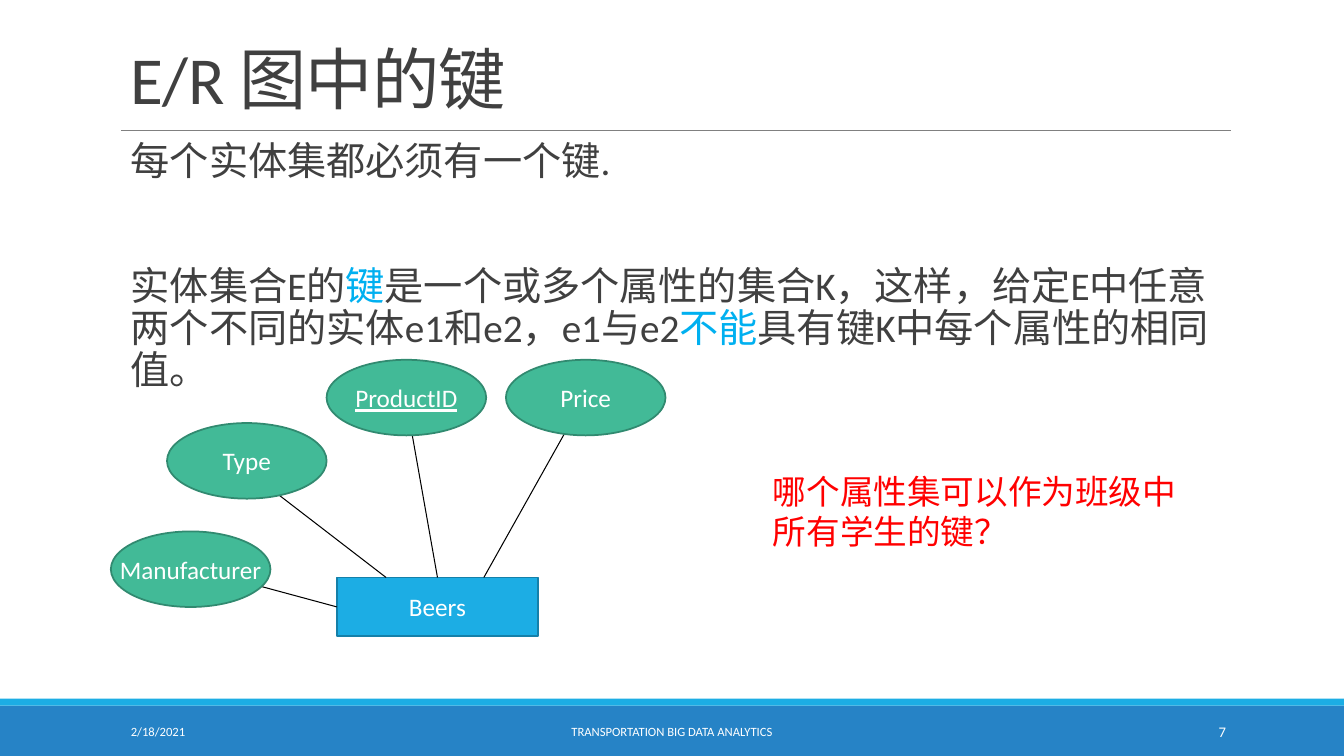
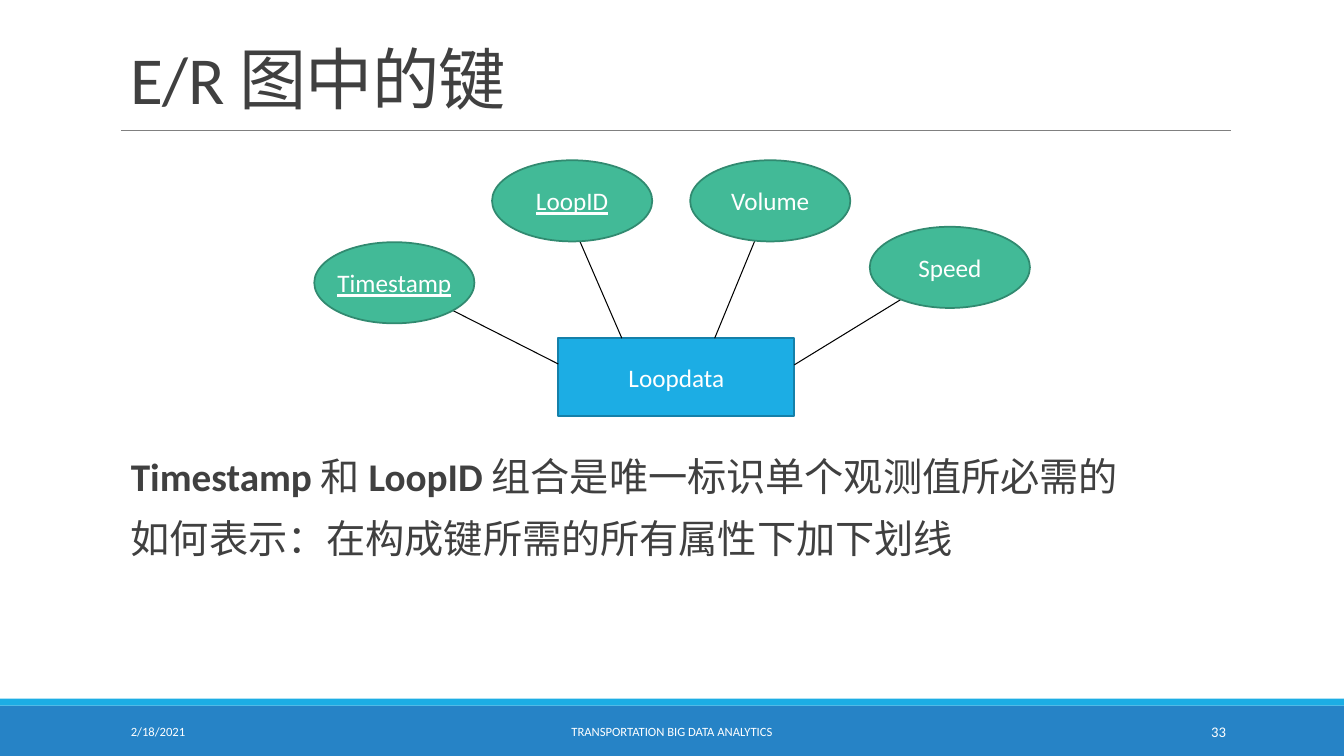
import pptx
import pptx.dml.color
import pptx.enum.shapes
import pptx.enum.text
import pptx.oxml
import pptx.oxml.ns
import pptx.util

Pt = pptx.util.Pt
SHAPE = pptx.enum.shapes.MSO_SHAPE
ANCHOR = pptx.enum.text.MSO_ANCHOR
ALIGN = pptx.enum.text.PP_ALIGN

COLORS = {
    "text": "404040", "white": "FFFFFF", "black": "000000", "rule": "808080",
    "band": "2683C6", "stripe": "1CADE4", "entity": "1CADE4",
    "entity_line": "1580A9", "attribute": "42BA97", "attribute_line": "318A70",
    "highlight": "00B0F0", "question": "FF0000",
}
FONT = "Calibri"
WIDTH, HEIGHT = 960, 540
LEFT, CONTENT_WIDTH = 86.4, 792
TOP, LEFT_SIDE = 0, 1  # connection sites of a rectangle


def color(name):
    return pptx.dml.color.RGBColor.from_string(COLORS[name])


class Deck:
    """Holds the presentation, its style and the current slide."""

    def __init__(self):
        self.presentation = pptx.Presentation()
        self.presentation.slide_width = Pt(WIDTH)
        self.presentation.slide_height = Pt(HEIGHT)
        self.slide = None

    def new_slide(self, title, number):
        layout = self.presentation.slide_layouts[6]
        self.slide = self.presentation.slides.add_slide(layout)
        # Bands and rule
        self.shape(SHAPE.RECTANGLE, (0, 504, WIDTH, 36), "band")
        self.shape(SHAPE.RECTANGLE, (0, 499, WIDTH, 5), "stripe")
        self.line((86.4, 93), (879, 93), "rule", 0.5)
        # Title
        frame = self.text((LEFT, 9.4, CONTENT_WIDTH, 78.5), [[(title, {})]],
                          size=48, anchor=ANCHOR.BOTTOM, line_spacing=0.85)
        for run in frame.paragraphs[0].runs:
            run.font._element.set("spc", "-50")
        # Footer
        footers = [
            ((86.4, 194.4), "2/18/2021", 9, ALIGN.LEFT),
            ((290.2, 379.4), "TRANSPORTATION BIG DATA ANALYTICS", 9, ALIGN.CENTER),
            ((779.8, 103), str(number), 10.5, ALIGN.RIGHT),
        ]
        for (left, width), words, size, align in footers:
            self.text((left, 508.3, width, 28.8), [[(words, {})]], size=size,
                      ink="white", anchor=ANCHOR.MIDDLE, align=align)

    def add_runs(self, paragraph, runs, size, ink):
        for words, style in runs:
            run = paragraph.add_run()
            run.text = words
            run.font.name = FONT
            run.font.size = Pt(size)
            run.font.color.rgb = color(style.get("ink", ink))
            if style.get("bold"):
                run.font.bold = True
            if style.get("underline"):
                run.font.underline = True

    def text(self, box, paragraphs, size, ink="text", anchor=ANCHOR.TOP,
             align=ALIGN.LEFT, line_spacing=1.0, gap=0, after=0, right=7.2):
        frame = self.slide.shapes.add_textbox(*map(Pt, box)).text_frame
        frame.word_wrap = True
        frame.vertical_anchor = anchor
        frame.margin_right = Pt(right)
        for index, runs in enumerate(paragraphs):
            paragraph = frame.add_paragraph() if index else frame.paragraphs[0]
            paragraph.alignment = align
            paragraph.line_spacing = line_spacing
            paragraph.space_before = Pt(gap if index else 0)
            paragraph.space_after = Pt(after)
            self.add_runs(paragraph, runs, size, ink)
        return frame

    def body(self, top, height, paragraphs, gap=12):
        self.text((LEFT, top, CONTENT_WIDTH, height), paragraphs, size=28,
                  line_spacing=0.9, gap=gap, after=2, right=0)

    def shape(self, preset, box, fill, outline=None):
        shape = self.slide.shapes.add_shape(preset, *map(Pt, box))
        shape.shadow.inherit = False
        shape.fill.solid()
        shape.fill.fore_color.rgb = color(fill)
        if outline:
            shape.line.color.rgb = color(outline)
            shape.line.width = Pt(1.25)
        else:
            shape.line.fill.background()
        return shape

    def node(self, preset, box, kind, label, underline=False):
        shape = self.shape(preset, box, kind, kind + "_line")
        frame = shape.text_frame
        frame.word_wrap = False
        frame.vertical_anchor = ANCHOR.MIDDLE
        frame.paragraphs[0].alignment = ALIGN.CENTER
        self.add_runs(frame.paragraphs[0], [(label, {"underline": underline})],
                      18, "white")
        return shape

    def line(self, start, end, ink="black", width=0.75):
        connector = self.slide.shapes.add_connector(
            pptx.enum.shapes.MSO_CONNECTOR.STRAIGHT, *map(Pt, start + end))
        connector.line.color.rgb = color(ink)
        connector.line.width = Pt(width)
        connector._element.spPr.append(
            pptx.oxml.parse_xml("<a:effectLst %s/>" % pptx.oxml.ns.nsdecls("a")))
        return connector

    def entity_diagram(self, name, box, oval_size, attributes):
        """Attributes: label, is key, oval corner, line start, line end, site."""
        entity = self.node(SHAPE.RECTANGLE, box, "entity", name)
        for label, is_key, corner, start, end, site in attributes:
            connector = self.line(start, end)
            if site is not None:
                connector.begin_connect(entity, site)
            self.node(SHAPE.OVAL, corner + oval_size, "attribute", label, is_key)


def main():
    deck = Deck()
    title = "E/R 图中的键"
    highlight = {"ink": "highlight"}
    bold = {"bold": True}

    # Definition of a key
    deck.new_slide(title, 7)
    deck.body(97.9, 398, [
        [("每个实体集都必须有一个键.", {})],
        [("实体集合E的", {}), ("键", highlight),
         ("是一个或多个属性的集合K，这样，给定E中任意两个不同的实体e1和e2，e1与e2", {}),
         ("不能", highlight), ("具有键K中每个属性的相同值。", {})],
    ], gap=56.5)
    deck.entity_diagram("Beers", (240.5, 412.5, 144, 42), (114, 54), [
        ("ProductID", True, (233.3, 257), (312.5, 412.5), (290.2, 286.6), TOP),
        ("Price", False, (361.4, 257), (345.6, 412.5), (412.6, 293), None),
        ("Type", False, (119.3, 302.2), (275.8, 412.5), (178.6, 337.7), None),
        ("Manufacturer", False, (79.2, 379.6), (240.5, 433.5), (141.8, 406.8),
         LEFT_SIDE),
    ])
    deck.text((545, 332.6, 318.2, 65.5),
              [[("哪个属性集可以作为班级中所有学生的键？", {})]],
              size=24, ink="question")

    # Key made of several attributes
    deck.new_slide(title, 33)
    deck.entity_diagram("Loopdata", (398.8, 241.6, 168.6, 55.6), (114.4, 58), [
        ("Volume", False, (493, 114.5), (510.5, 241.6), (548, 150.5), None),
        ("LoopID", True, (351.5, 114.5), (444.2, 241.6), (406, 153.4), None),
        ("Timestamp", True, (224.5, 173), (398.8, 260), (292.3, 206), None),
        ("Speed", False, (621.3, 162), (567.4, 260.6), (671.8, 196.6), None),
    ])
    deck.body(323.5, 172, [
        [("Timestamp ", bold), ("和 ", {}), ("LoopID ", bold),
         ("组合是唯一标识单个观测值所必需的", {})],
        [("如何表示：在构成键所需的所有属性下加下划线", {})],
    ])

    deck.presentation.save("out.pptx")


if __name__ == "__main__":
    main()
